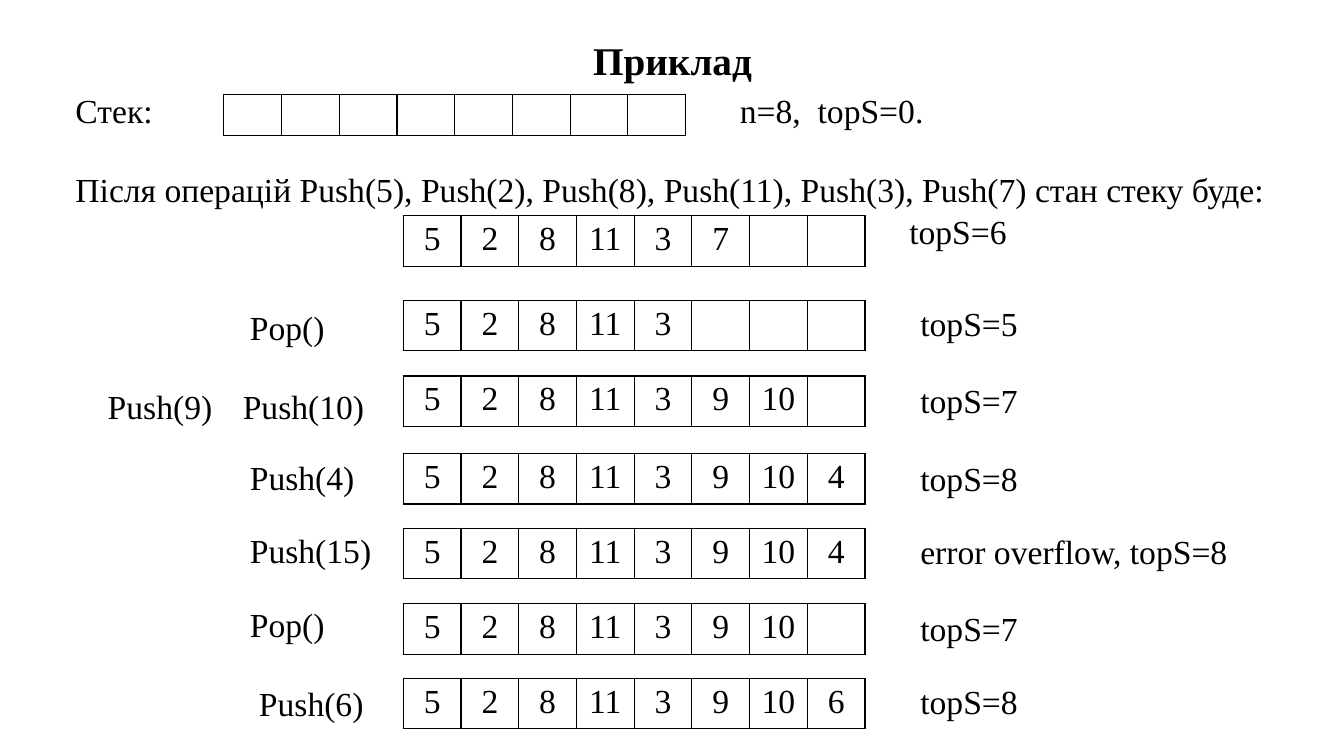
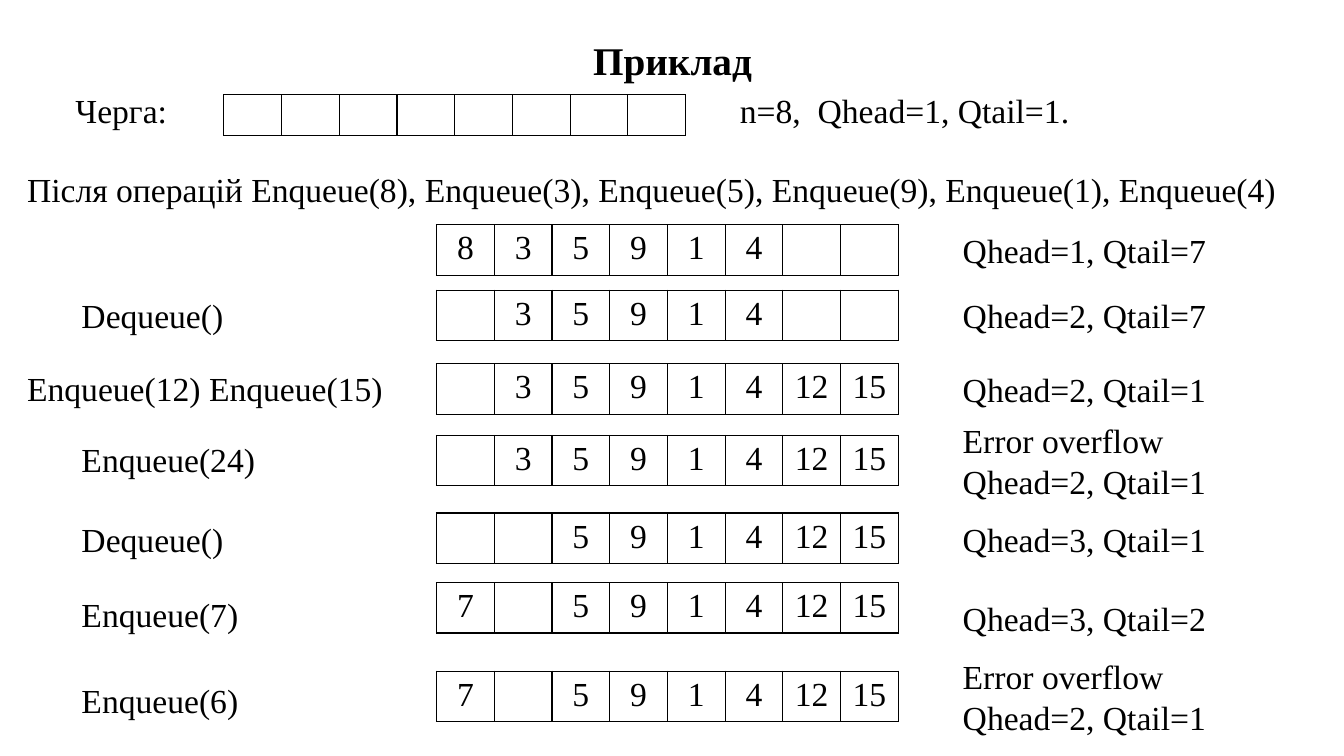
from lxml import etree
from pptx import Presentation
from pptx.dml.color import RGBColor
from pptx.enum.text import MSO_ANCHOR, PP_ALIGN
from pptx.oxml.ns import qn
from pptx.util import Inches, Pt

CENTER = PP_ALIGN.CENTER
MIDDLE = MSO_ANCHOR.MIDDLE
BLACK = RGBColor(0x00, 0x00, 0x00)
FONT = "Times New Roman"
TITLE_SIZE = 28
BODY_SIZE = 24
CELL_COUNT = 8
TABLE_WIDTH = 4.58
BORDER_WIDTH = Pt(1)
TITLE_ONLY = 5

# Texts are (left, top, text); states are (table top, cell values, texts beside it).
SLIDES = [
    {
        "texts": [
            (0.65, 0.84, "Стек:"),
            (7.24, 0.84, "n=8,  topS=0."),
            (0.65, 1.63, "Після операцій Push(5), Push(2), Push(8), Push(11), Push(3), Push(7) стан стеку буде:"),
        ],
        "table_left": 4.0,
        "states": [
            (2.14, "5 2 8 11 3 7 - -", [(8.92, 2.04, "topS=6")]),
            (2.98, "5 2 8 11 3 - - -", [(2.38, 3.0, "Pop()"), (9.03, 2.96, "topS=5")]),
            (3.73, "5 2 8 11 3 9 10 -",
             [(0.97, 3.78, "Push(9)"), (2.31, 3.78, "Push(10)"), (9.03, 3.72, "topS=7")]),
            (4.5, "5 2 8 11 3 9 10 4", [(2.38, 4.48, "Push(4)"), (9.03, 4.49, "topS=8")]),
            (5.24, "5 2 8 11 3 9 10 4",
             [(2.38, 5.21, "Push(15)"), (9.03, 5.22, "error overflow, topS=8")]),
            (5.99, "5 2 8 11 3 9 10 -", [(2.38, 5.94, "Pop()"), (9.03, 5.98, "topS=7")]),
            (6.73, "5 2 8 11 3 9 10 6", [(2.47, 6.73, "Push(6)"), (9.03, 6.71, "topS=8")]),
        ],
    },
    {
        "texts": [
            (0.65, 0.84, "Черга:"),
            (7.24, 0.84, "n=8,  Qhead=1, Qtail=1."),
            (0.17, 1.63, "Після операцій Enqueue(8), Enqueue(3), Enqueue(5), Enqueue(9), Enqueue(1), Enqueue(4)"),
        ],
        "table_left": 4.33,
        "states": [
            (2.23, "8 3 5 9 1 4 - -", [(9.45, 2.23, "Qhead=1, Qtail=7")]),
            (2.88, "- 3 5 9 1 4 - -", [(0.71, 2.88, "Dequeue()"), (9.45, 2.88, "Qhead=2, Qtail=7")]),
            (3.61, "- 3 5 9 1 4 12 15",
             [(0.17, 3.6, "Enqueue(12) Enqueue(15)"), (9.45, 3.61, "Qhead=2, Qtail=1")]),
            (4.32, "- 3 5 9 1 4 12 15",
             [(0.71, 4.31, "Enqueue(24)"), (9.45, 4.12, "Error overflow\nQhead=2, Qtail=1")]),
            (5.09, "- - 5 9 1 4 12 15", [(0.71, 5.1, "Dequeue()"), (9.45, 5.1, "Qhead=3, Qtail=1")]),
            (5.78, "7 - 5 9 1 4 12 15", [(0.71, 5.84, "Enqueue(7)"), (9.45, 5.88, "Qhead=3, Qtail=2")]),
            (6.66, "7 - 5 9 1 4 12 15",
             [(0.71, 6.7, "Enqueue(6)"), (9.45, 6.46, "Error overflow\nQhead=2, Qtail=1")]),
        ],
    },
]


def write(frame, text, size=BODY_SIZE, bold=False, align=None):
    frame.text = text
    for para in frame.paragraphs:
        para.alignment = align
        for span in para.runs:
            span.font.name = FONT
            span.font.size = Pt(size)
            span.font.bold = bold
            span.font.color.rgb = BLACK


def add_cells(page, left, top, height, values):
    """Draw one bordered row of cells, where "-" is an empty cell."""
    table = page.shapes.add_table(1, CELL_COUNT, Inches(left), Inches(top),
                                  Inches(TABLE_WIDTH), Inches(height)).table
    table.first_row = False
    table.horz_banding = False
    for cell, value in zip(table.rows[0].cells, values):
        if value != "-":
            write(cell.text_frame, value, align=CENTER)
        cell.fill.background()
        properties = cell._tc.get_or_add_tcPr()
        for position, side in enumerate(("lnL", "lnR", "lnT", "lnB")):
            line = etree.Element(qn(f"a:{side}"), w=str(BORDER_WIDTH))
            fill = etree.SubElement(line, qn("a:solidFill"))
            etree.SubElement(fill, qn("a:srgbClr"), val=str(BLACK))
            properties.insert(position, line)


deck = Presentation()
deck.slide_width = Inches(13.33)
deck.slide_height = Inches(7.5)

for content in SLIDES:
    page = deck.slides.add_slide(deck.slide_layouts[TITLE_ONLY])
    title = page.shapes.title
    title.left, title.top = Inches(0.17), Inches(0.3)
    title.width, title.height = Inches(13), Inches(0.58)
    title.text_frame.vertical_anchor = MIDDLE
    write(title.text_frame, "Приклад", TITLE_SIZE, bold=True, align=CENTER)

    add_cells(page, 2.22, 0.94, 0.4, ["-"] * CELL_COUNT)
    texts = list(content["texts"])
    for top, values, side_texts in content["states"]:
        add_cells(page, content["table_left"], top, 0.5, values.split())
        texts += side_texts

    for left, top, text in texts:
        line_count = text.count("\n") + 1
        box = page.shapes.add_textbox(Inches(left), Inches(top), Inches(13.16 - left),
                                      Inches(0.1 + 0.4 * line_count))
        box.text_frame.word_wrap = False
        write(box.text_frame, text)

deck.save("out.pptx")
